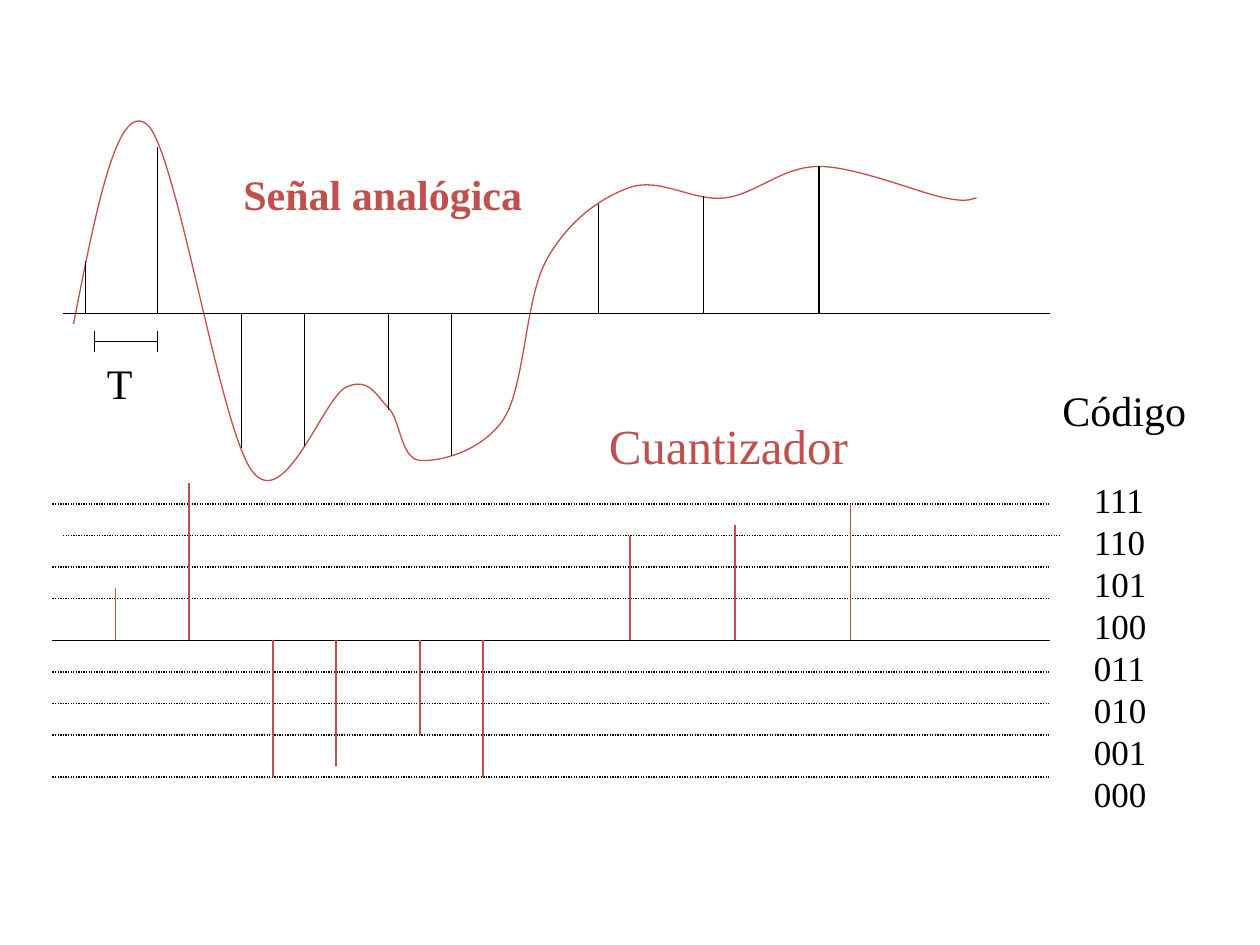
from typing import NamedTuple

from lxml import etree
from pptx import Presentation
from pptx.dml.color import RGBColor
from pptx.enum.dml import MSO_LINE
from pptx.enum.shapes import MSO_CONNECTOR
from pptx.enum.text import MSO_AUTO_SIZE
from pptx.oxml.ns import qn
from pptx.util import Inches, Pt

STRAIGHT = MSO_CONNECTOR.STRAIGHT
DOTTED = MSO_LINE.ROUND_DOT
GROW = MSO_AUTO_SIZE.SHAPE_TO_FIT_TEXT
FONT = "Times New Roman"
BLACK, RED = "000000", "C0504D"
UNITS_PER_INCH = 12
AXIS_ROW, ZERO_ROW = 29.85, 61


class Sample(NamedTuple):
    signal_col: float
    signal_row: float
    level_col: float
    level_row: float


class Level(NamedTuple):
    row: float
    first_col: float = 5
    last_col: float = 100


class Bezier(NamedTuple):
    c1: tuple[float, float]
    c2: tuple[float, float]
    end: tuple[float, float]


SAMPLES = [
    Sample(8.15, 24.85, 11, 56),
    Sample(15, 14, 18, 46),
    Sample(23, 42.7, 26, 74),
    Sample(29, 42.5, 32, 73),
    Sample(37, 39, 40, 70),
    Sample(43, 43.4, 46, 74),
    Sample(57, 19.4, 60, 51),
    Sample(67, 18.7, 70, 50),
    Sample(78, 15.85, 81, 48),
]
LEVELS = [
    Level(48), Level(51, 6, 101), Level(54), Level(57),
    Level(64), Level(67), Level(70), Level(74),
]
SIGNAL_START = (7, 30.85)
SIGNAL = [
    Bezier((9.1, 20.2), (11.15, 9.5), (14, 11.85)),
    Bezier((16.8, 14.15), (20.9, 40.7), (24, 44.85)),
    Bezier((27.1, 49), (30.8, 37.8), (33, 36.85)),
    Bezier((35.15, 35.9), (35.85, 37.7), (37, 38.85)),
    Bezier((38.15, 40), (38.15, 43.7), (40, 43.85)),
    Bezier((41.85, 44), (45.95, 43), (48, 39.85)),
    Bezier((50, 36.7), (50, 28.55), (52, 24.85)),
    Bezier((54, 21.15), (57.1, 18.85), (60, 17.85)),
    Bezier((62.85, 16.85), (66, 19.2), (69, 18.85)),
    Bezier((72, 18.5), (74.5, 15.85), (78, 15.85)),
    Bezier((81.5, 15.85), (87.5, 18.35), (90, 18.85)),
    Bezier((92.5, 19.35), (92.5, 18.85), (93, 18.85)),
]


def unit(n: float) -> int:
    return Inches(n / UNITS_PER_INCH)


def color(value: str) -> RGBColor:
    return RGBColor.from_string(value)


def set_line(sp, line_color: str, dash=None) -> None:
    sp.line.color.rgb = color(line_color)
    sp.line.width = Pt(0.75)
    if dash is not None:
        sp.line.dash_style = dash
    etree.SubElement(sp._element.spPr.find(qn("a:ln")), qn("a:round"))


def add_line(grp, x1: float, y1: float, x2: float, y2: float,
             line_color: str = BLACK, dash=None) -> None:
    sp = grp.shapes.add_connector(STRAIGHT, unit(x1), unit(y1), unit(x2), unit(y2))
    set_line(sp, line_color, dash)
    etree.SubElement(sp._element.spPr, qn("a:effectLst"))


def add_text(grp, text: str, x: float, y: float, w: float, h: float, *, size: float,
             text_color: str = BLACK, bold: bool = False, wrap: bool = False) -> None:
    sp = grp.shapes.add_textbox(unit(x), unit(y), unit(w), unit(h))
    tf = sp.text_frame
    tf.word_wrap = wrap
    tf.auto_size = GROW
    r = tf.paragraphs[0].add_run()
    r.text = text
    r.font.name = FONT
    r.font.size = Pt(size)
    r.font.bold = bold
    r.font.color.rgb = color(text_color)


def add_curve(grp, start: tuple[float, float], segments: list[Bezier], line_color: str) -> None:
    builder = grp.shapes.build_freeform(*map(unit, start))
    points = [(unit(x), unit(y)) for segment in segments for x, y in segment]
    builder.add_line_segments(points, close=False)
    sp = builder.convert_to_shape()
    lines = list(sp._element.iter(qn("a:lnTo")))
    for i in range(0, len(lines), 3):
        bezier = etree.SubElement(lines[i].getparent(), qn("a:cubicBezTo"))
        for line in lines[i:i + 3]:
            bezier.append(line[0])
            line.getparent().remove(line)
    sp.fill.background()
    set_line(sp, line_color)
    sp.shadow.inherit = False


def draw_signal(grp) -> None:
    add_curve(grp, SIGNAL_START, SIGNAL, RED)
    add_line(grp, 6, AXIS_ROW, 100, AXIS_ROW)
    for sample in SAMPLES:
        top, bottom = sorted((sample.signal_row, AXIS_ROW))
        add_line(grp, sample.signal_col, top, sample.signal_col, bottom)
    add_text(grp, "T", 9, 33.5, 3.85, 6, size=24, wrap=True)
    add_line(grp, 9, 32.5, 15, 32.5)
    for col in (9, 15):
        add_line(grp, col, 31.5, col, 33.5)
    add_text(grp, "Señal analógica", 22, 15.5, 29.1, 6, size=24, text_color=RED, bold=True)


def draw_quantizer(grp) -> None:
    add_line(grp, 5, ZERO_ROW, 100, ZERO_ROW)
    for level in LEVELS:
        add_line(grp, level.first_col, level.row, level.last_col, level.row, dash=DOTTED)
    for sample in SAMPLES:
        top, bottom = sorted((sample.level_row, ZERO_ROW))
        add_line(grp, sample.level_col, top, sample.level_col, bottom, RED)
    add_text(grp, "Cuantizador", 56.8, 39, 25.2, 6.85, size=28, text_color=RED)


def draw_codes(grp) -> None:
    add_text(grp, "Código", 100, 36, 14.15, 6, size=24)
    for i, code in enumerate(reversed(range(8))):
        add_text(grp, f"{code:03b}", 103, 45 + 4 * i, 7.45, 5.15, size=20)


def main() -> None:
    prs = Presentation()
    prs.slide_width, prs.slide_height = Inches(10), Inches(7.5)
    s = prs.slides.add_slide(prs.slide_layouts[6])
    for draw in (draw_signal, draw_quantizer, draw_codes):
        draw(s.shapes.add_group_shape())
    prs.save("out.pptx")


if __name__ == "__main__":
    main()
